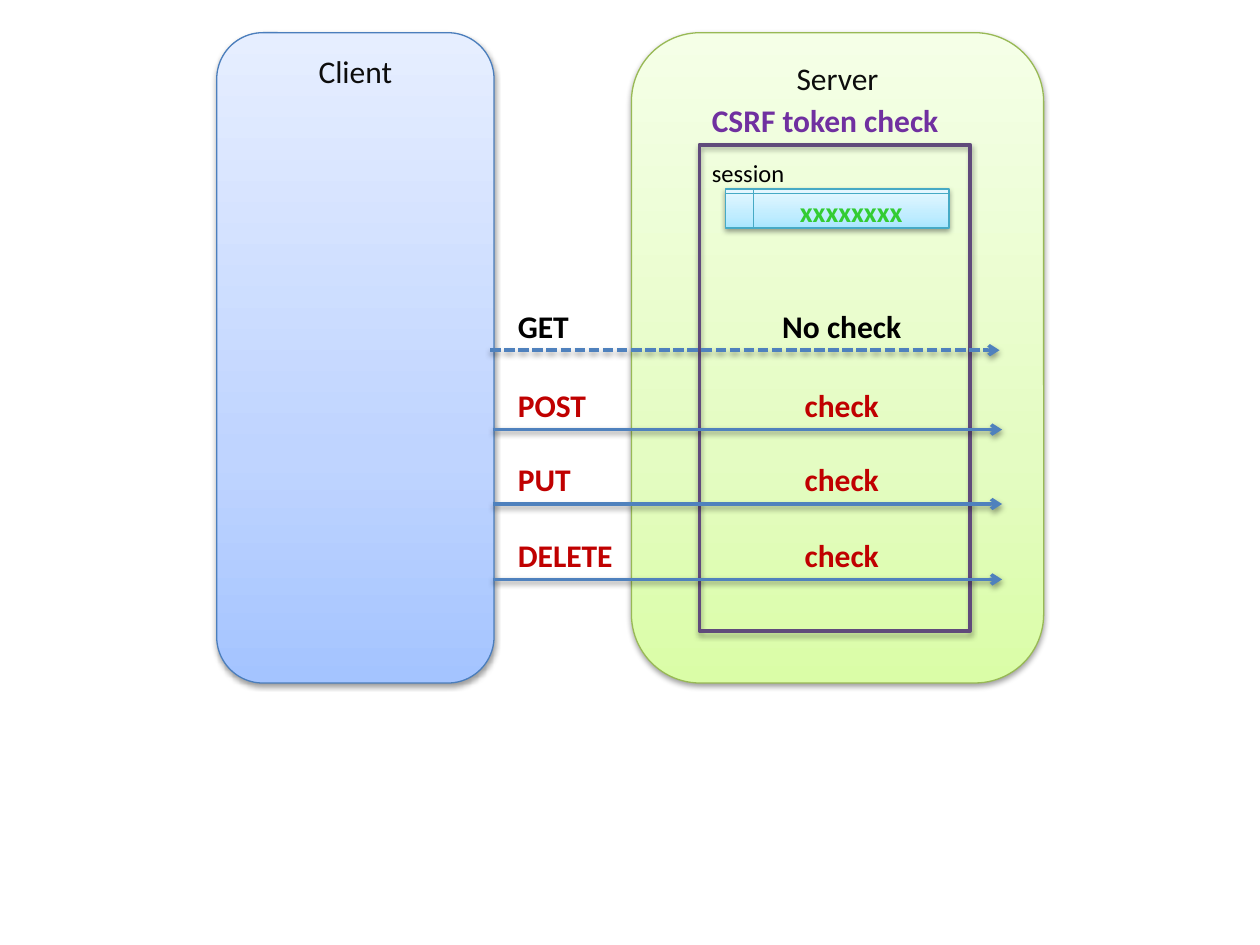
from copy import deepcopy

from lxml.etree import SubElement
from pptx import Presentation
from pptx.dml.color import RGBColor
from pptx.enum.dml import MSO_LINE
from pptx.enum.shapes import MSO_CONNECTOR, MSO_SHAPE as Shape
from pptx.enum.text import MSO_ANCHOR as Anchor, PP_ALIGN as Align
from pptx.oxml.ns import qn
from pptx.util import Cm, Pt

BLACK = RGBColor(0x00, 0x00, 0x00)
INK = RGBColor(0x0D, 0x0D, 0x0D)
RED = RGBColor(0xC0, 0x00, 0x00)
PURPLE = RGBColor(0x70, 0x30, 0xA0)
FRAME_PURPLE = RGBColor(0x60, 0x4A, 0x7B)
TOKEN_GREEN = RGBColor(0x33, 0xCC, 0x33)
ARROW_BLUE = RGBColor(0x4F, 0x81, 0xBD)
CLIENT_EDGE = RGBColor(0x4B, 0x7E, 0xBC)
SERVER_EDGE = RGBColor(0x98, 0xB9, 0x55)
SESSION_EDGE = RGBColor(0x46, 0xAA, 0xC5)
CLIENT_SHADES = [RGBColor(0xA4, 0xC4, 0xFF), RGBColor(0xBF, 0xD4, 0xFF), RGBColor(0xE6, 0xEE, 0xFF)]
SERVER_SHADES = [RGBColor(0xDA, 0xFD, 0xA7), RGBColor(0xE4, 0xFC, 0xC2), RGBColor(0xF5, 0xFF, 0xE7)]
SESSION_SHADES = [RGBColor(0xA7, 0xE6, 0xFF), RGBColor(0xC1, 0xED, 0xFF), RGBColor(0xE7, 0xF8, 0xFF)]
SHADE_POSITIONS = (0, 0.35, 1)

REQUESTS = [
    ("GET", "No check", BLACK, 7.06, 9.88, MSO_LINE.SQUARE_DOT),
    ("POST", "check", RED, 8.66, 9.93, None),
    ("PUT", "check", RED, 10.16, 9.93, None),
    ("DELETE", "check", RED, 11.68, 9.93, None),
]
ARROW_LENGTH = 10.27
LABEL_HEIGHT = 0.99
METHOD_LEFT, METHOD_WIDTH = 10.19, 5.31
VERDICT_LEFT, VERDICT_WIDTH = 15.19, 3.56

deck = Presentation()
deck.slide_width, deck.slide_height = Cm(25.4), Cm(19.05)
slide = deck.slides.add_slide(deck.slide_layouts[6])
diagram = slide.shapes.add_group_shape().shapes


def write(holder, text, size=18, color=BLACK, bold=False, align=Align.LEFT, anchor=Anchor.MIDDLE):
    frame = holder.text_frame
    frame.word_wrap = True
    frame.vertical_anchor = anchor
    paragraph = frame.paragraphs[0]
    paragraph.alignment = align
    run = paragraph.add_run()
    run.text = text
    run.font.name = "Calibri"
    run.font.size = Pt(size)
    run.font.bold = bold
    run.font.color.rgb = color


def label(left, top, width, height, text, **style):
    box = diagram.add_textbox(Cm(left), Cm(top), Cm(width), Cm(height))
    write(box, text, **style)


def cast_shadow(part, alpha=38, distance=1.6):
    properties = part._element.spPr
    effects = properties.find(qn("a:effectLst"))
    if effects is None:
        effects = SubElement(properties, qn("a:effectLst"))
    shadow = SubElement(effects, qn("a:outerShdw"), blurRad=str(Pt(3.1)),
                        dist=str(Pt(distance)), dir="5400000", rotWithShape="0")
    tint = SubElement(shadow, qn("a:srgbClr"), val="000000")
    SubElement(tint, qn("a:alpha"), val=str(alpha * 1000))


def panel(kind, left, top, width, height, edge, shades=None, weight=0.75, **shadow):
    shape = diagram.add_shape(kind, Cm(left), Cm(top), Cm(width), Cm(height))
    shape.line.color.rgb = edge
    shape.line.width = Pt(weight)
    if shades:
        shape.fill.gradient()
        shape.fill.gradient_angle = 90
        stop_list = shape._element.spPr.find(".//" + qn("a:gsLst"))
        stop_list.append(deepcopy(stop_list[-1]))
        for stop, shade, position in zip(shape.fill.gradient_stops, shades, SHADE_POSITIONS):
            stop.color.rgb = shade
            stop.position = position
    else:
        shape.fill.background()
    shape.shadow.inherit = False
    cast_shadow(shape, **shadow)
    return shape


def arrow(left, y, dash):
    line = diagram.add_connector(MSO_CONNECTOR.STRAIGHT, Cm(left), Cm(y), Cm(left + ARROW_LENGTH), Cm(y))
    line.line.color.rgb = ARROW_BLUE
    line.line.width = Pt(2)
    if dash:
        line.line.dash_style = dash
    SubElement(line.line._get_or_add_ln(), qn("a:tailEnd"), type="arrow")
    cast_shadow(line)


server = panel(Shape.ROUNDED_RECTANGLE, 12.73, 0.66, 8.31, 13.11, SERVER_EDGE, SERVER_SHADES)
write(server, "Server", color=INK, align=Align.CENTER, anchor=Anchor.TOP)
panel(Shape.RECTANGLE, 14.1, 2.92, 5.46, 9.8, FRAME_PURPLE, weight=2, alpha=35, distance=1.8)
label(14.1, 3.07, 2.77, 1.02, "session", size=14, anchor=Anchor.TOP)
session = panel(Shape.FLOWCHART_INTERNAL_STORAGE, 14.63, 3.81, 4.5, 0.79, SESSION_EDGE, SESSION_SHADES)
write(session, "xxxxxxxx", size=16, color=TOKEN_GREEN, bold=True, align=Align.CENTER)
label(14.1, 1.93, 5.31, LABEL_HEIGHT, "CSRF token check", color=PURPLE, bold=True)
client = panel(Shape.ROUNDED_RECTANGLE, 4.37, 0.66, 5.59, 13.11, CLIENT_EDGE, CLIENT_SHADES)
write(client, "Client", color=INK, align=Align.CENTER, anchor=Anchor.TOP)

for method, verdict, color, y, start, dash in REQUESTS:
    arrow(start, y, dash)
    top = y - LABEL_HEIGHT
    label(METHOD_LEFT, top, METHOD_WIDTH, LABEL_HEIGHT, method, color=color, bold=True)
    label(VERDICT_LEFT, top, VERDICT_WIDTH, LABEL_HEIGHT, verdict, color=color, bold=True, align=Align.CENTER)

deck.save("out.pptx")
